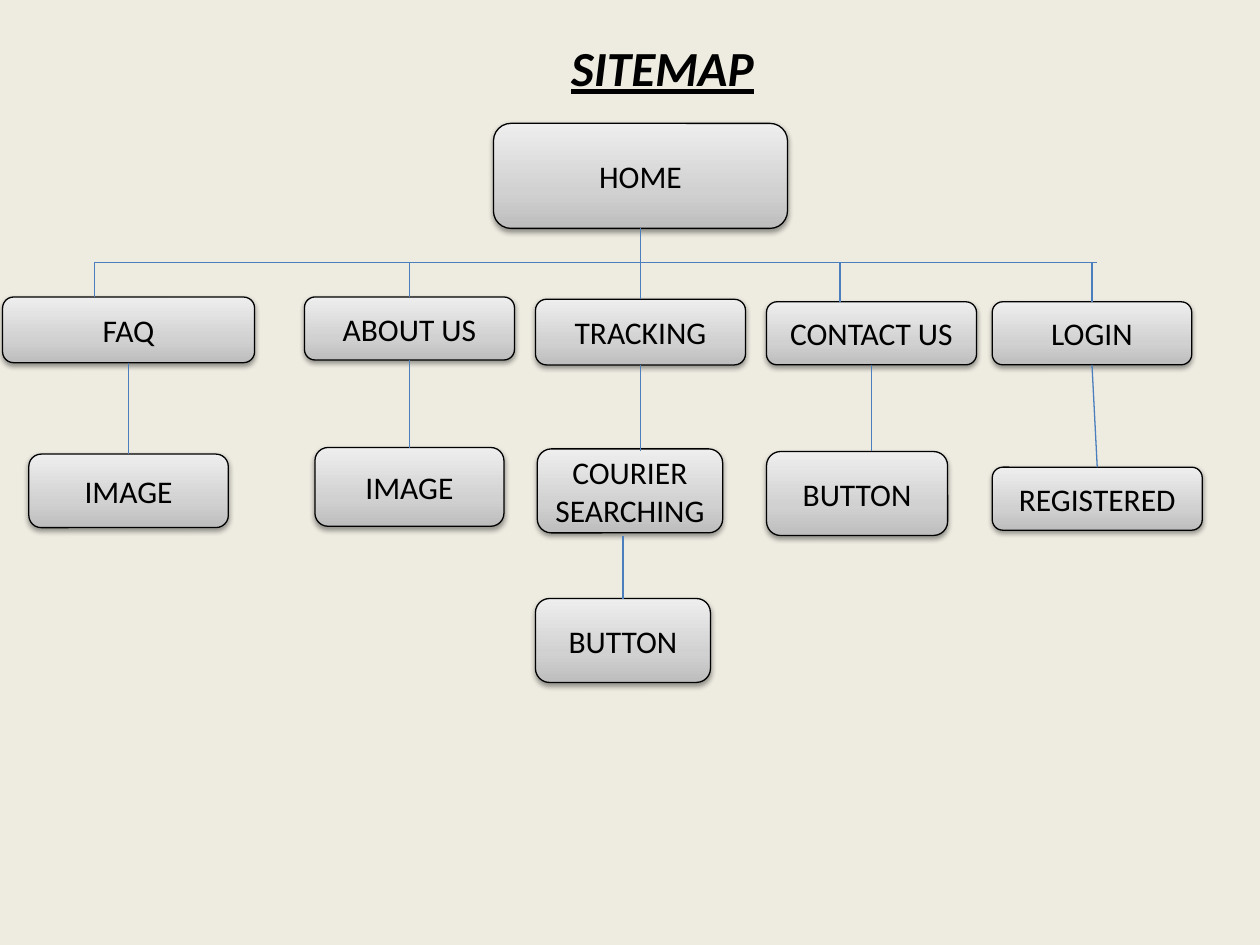
from pptx import Presentation
from pptx.dml.color import RGBColor
from pptx.enum.shapes import MSO_CONNECTOR, MSO_SHAPE
from pptx.enum.text import MSO_ANCHOR, PP_ALIGN
from pptx.oxml import parse_xml
from pptx.oxml.ns import nsdecls
from pptx.util import Pt
from lxml import etree

COLORS = {"bg": "EEECE1", "ink": "000000", "line": "4B7EBC"}
BOX_STOPS = [(0, "BDBDBD"), (35, "D1D1D1"), (100, "EEEEEE")]
TOP, BOTTOM = 0, 2
RAIL_Y, RAIL_LEFT, RAIL_RIGHT = 150, 54, 627


def write(s, text, size=18, bold=False, italic=False, underline=False):
    tf = s.text_frame
    tf.word_wrap = True
    p = tf.paragraphs[0]
    p.alignment = PP_ALIGN.CENTER
    r = p.add_run()
    r.text = text
    r.font.name = "Calibri"
    r.font.size = Pt(size)
    r.font.bold, r.font.italic, r.font.underline = bold, italic, underline
    r.font.color.rgb = RGBColor.from_string(COLORS["ink"])


prs = Presentation()
prs.slide_width, prs.slide_height = Pt(720), Pt(540)
slide = prs.slides.add_slide(prs.slide_layouts[6])
slide.background.fill.solid()
slide.background.fill.fore_color.rgb = RGBColor.from_string(COLORS["bg"])

title = slide.shapes.add_textbox(Pt(259), Pt(18), Pt(239), Pt(41))
write(title, "SITEMAP", size=28, bold=True, italic=True, underline=True)

# key: text, left, top, width, height
pages = {
    "home": ("HOME", 282, 70.5, 168, 60),
    "faq": ("FAQ", 1.5, 169.75, 144, 37.5),
    "about": ("ABOUT US", 174, 169.75, 120, 36),
    "tracking": ("TRACKING", 306, 171, 120, 37.5),
    "contact": ("CONTACT US", 438, 172.5, 120, 36),
    "login": ("LOGIN", 567, 172.5, 114, 36),
    "registered": ("REGISTERED", 567, 267, 120, 36),
    "faq image": ("IMAGE", 16.5, 259.5, 114, 42),
    "about image": ("IMAGE", 180, 255.75, 108, 45),
    "searching": ("COURIER SEARCHING", 307, 256.5, 106, 48),
    "contact button": ("BUTTON", 438, 258, 103.5, 48),
    "search button": ("BUTTON", 306, 342, 100, 48),
}
boxes = {}
for key, (text, *frame) in pages.items():
    s = slide.shapes.add_shape(MSO_SHAPE.ROUNDED_RECTANGLE, *map(Pt, frame))
    s.fill.gradient()
    s.fill.gradient_angle = 90
    stops = s._element.spPr.find(".//{*}gsLst")
    for stop in list(stops):
        stops.remove(stop)
    for pos, color in BOX_STOPS:
        stops.append(parse_xml(
            f'<a:gs {nsdecls("a")} pos="{pos * 1000}"><a:srgbClr val="{color}"/></a:gs>'))
    s.line.color.rgb = RGBColor.from_string(COLORS["ink"])
    s.line.width = Pt(0.75)
    s.shadow.inherit = False
    s._element.spPr.find("{*}effectLst").append(parse_xml(
        f'<a:outerShdw {nsdecls("a")} blurRad="{Pt(3.1)}" dist="{Pt(1.6)}" dir="5400000" '
        f'rotWithShape="0"><a:srgbClr val="{COLORS["ink"]}"><a:alpha val="38000"/>'
        '</a:srgbClr></a:outerShdw>'))
    s.text_frame.vertical_anchor = MSO_ANCHOR.MIDDLE
    write(s, text)
    boxes[key] = s

# Each end is a point, or a page and the side it joins
links = [
    (("home", BOTTOM), (366, RAIL_Y)),
    ((RAIL_RIGHT, RAIL_Y), (RAIL_LEFT, RAIL_Y)),
    ((RAIL_LEFT, RAIL_Y), (RAIL_LEFT, 169.75)),
    (("about", TOP), (234, RAIL_Y)),
    (("tracking", TOP), (366, RAIL_Y)),
    ((480, 172.5), (480, RAIL_Y)),
    (("login", TOP), (624, RAIL_Y)),
    (("registered", TOP), ("login", BOTTOM)),
    (("faq", BOTTOM), ("faq image", TOP)),
    (("about", BOTTOM), ("about image", TOP)),
    (("tracking", BOTTOM), (366, 257.5)),
    (("contact", BOTTOM), (498, 258)),
    ((356, 306), ("search button", TOP)),
]
for begin, end in links:
    points = [(0, 0) if e[0] in boxes else e for e in (begin, end)]
    c = slide.shapes.add_connector(
        MSO_CONNECTOR.STRAIGHT, *(Pt(v) for point in points for v in point))
    if begin[0] in boxes:
        c.begin_connect(boxes[begin[0]], begin[1])
    if end[0] in boxes:
        c.end_connect(boxes[end[0]], end[1])
    c.line.color.rgb = RGBColor.from_string(COLORS["line"])
    c.line.width = Pt(0.75)
    etree.SubElement(
        c._element.spPr, "{http://schemas.openxmlformats.org/drawingml/2006/main}effectLst")

prs.save("out.pptx")
